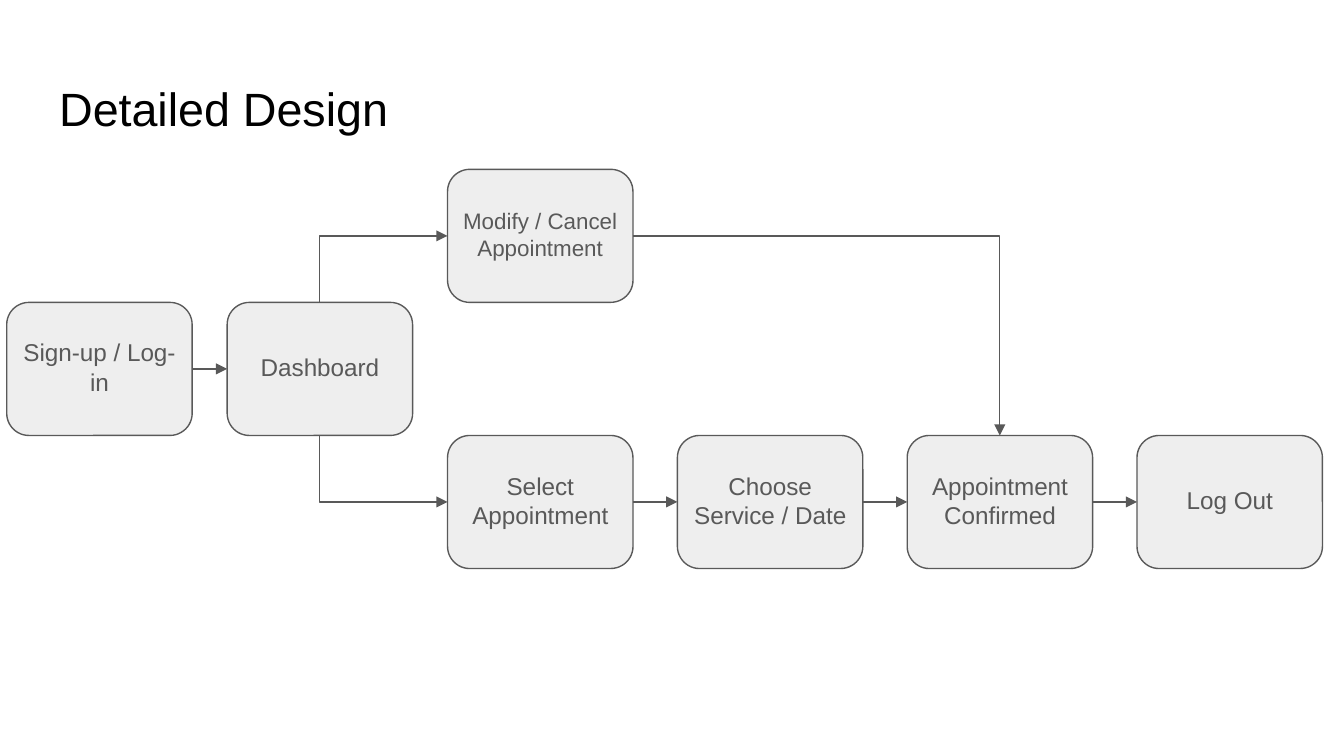
from dataclasses import dataclass

from lxml.etree import SubElement
from pptx import Presentation
from pptx.dml.color import RGBColor
from pptx.enum.shapes import MSO_CONNECTOR, MSO_SHAPE
from pptx.enum.text import MSO_ANCHOR, PP_ALIGN
from pptx.oxml.ns import qn
from pptx.util import Inches, Pt


@dataclass(frozen=True)
class Theme:
    font: str = "Arial"
    title: RGBColor = RGBColor(0, 0, 0)
    ink: RGBColor = RGBColor(0x59, 0x59, 0x59)
    fill: RGBColor = RGBColor(0xEE, 0xEE, 0xEE)
    title_size: float = 25
    label_size: float = 13
    small_size: float = 12
    line_width: float = 0.75


THEME = Theme()
TOP, LEFT, BOTTOM, RIGHT = range(4)
BOX_W, BOX_H = 1.38, 0.99
GRID_LEFT, GRID_TOP = 0.05, 1.26
ENTRY_PITCH, BOOKING_PITCH = 1.64, 1.71

STEPS = {
    "login": (0, 1, "Sign-up / Log-in", THEME.label_size),
    "dashboard": (1, 1, "Dashboard", THEME.label_size),
    "modify": (2, 0, "Modify / Cancel\nAppointment", THEME.small_size),
    "select": (2, 2, "Select Appointment", THEME.label_size),
    "choose": (3, 2, "Choose Service / Date", THEME.label_size),
    "confirmed": (4, 2, "Appointment Confirmed", THEME.label_size),
    "logout": (5, 2, "Log Out", THEME.label_size),
}

STRAIGHT_FLOWS = [
    ("login", "dashboard"),
    ("select", "choose"),
    ("choose", "confirmed"),
    ("confirmed", "logout"),
]

BENT_FLOWS = [
    ("modify", LEFT, "dashboard", TOP, "headEnd"),
    ("select", LEFT, "dashboard", BOTTOM, "headEnd"),
    ("modify", RIGHT, "confirmed", TOP, "tailEnd"),
]


def cell(col, row):
    x = GRID_LEFT + min(col, 2) * ENTRY_PITCH + max(col - 2, 0) * BOOKING_PITCH
    return Inches(x), Inches(GRID_TOP + row * BOX_H)


def style_paragraph(p, size, color, align):
    p.alignment = align
    p.font.name = THEME.font
    p.font.size = Pt(size)
    p.font.color.rgb = color


def set_title(s, text):
    sp = s.shapes.title
    sp.left, sp.top = Inches(0.34), Inches(0.49)
    sp.width, sp.height = Inches(9.32), Inches(0.63)
    tf = sp.text_frame
    tf.text = text
    tf.vertical_anchor = MSO_ANCHOR.MIDDLE
    tf.margin_left = tf.margin_right = Inches(0.1)
    tf.margin_top = tf.margin_bottom = Inches(0.1)
    style_paragraph(tf.paragraphs[0], THEME.title_size, THEME.title, PP_ALIGN.LEFT)


def add_step(s, col, row, text, size):
    sp = s.shapes.add_shape(MSO_SHAPE.ROUNDED_RECTANGLE, *cell(col, row),
                            Inches(BOX_W), Inches(BOX_H))
    sp.shadow.inherit = False
    sp.fill.solid()
    sp.fill.fore_color.rgb = THEME.fill
    sp.line.color.rgb = THEME.ink
    sp.line.width = Pt(THEME.line_width)
    tf = sp.text_frame
    tf.word_wrap = True
    tf.vertical_anchor = MSO_ANCHOR.MIDDLE
    tf.margin_left = tf.margin_right = tf.margin_top = Inches(0.05)
    tf.margin_bottom = Inches(0.08)
    tf.text = text
    for p in tf.paragraphs:
        style_paragraph(p, size, THEME.ink, PP_ALIGN.CENTER)
    return sp


def add_flow(s, start, start_side, end, end_side, arrow="tailEnd", bent=False):
    kind = MSO_CONNECTOR.ELBOW if bent else MSO_CONNECTOR.STRAIGHT
    cxn = s.shapes.add_connector(kind, 0, 0, 0, 0)
    cxn.begin_connect(start, start_side)
    cxn.end_connect(end, end_side)
    cxn.line.color.rgb = THEME.ink
    cxn.line.width = Pt(THEME.line_width)
    sp_pr = cxn._element.spPr
    if bent:
        sp_pr.find(qn("a:prstGeom")).set("prst", "bentConnector2")
    SubElement(sp_pr.find(qn("a:ln")), qn(f"a:{arrow}"), type="triangle")
    SubElement(sp_pr, qn("a:effectLst"))


def main():
    prs = Presentation()
    prs.slide_width = Inches(10)
    prs.slide_height = prs.slide_width * 9 // 16
    s = prs.slides.add_slide(prs.slide_layouts[5])
    set_title(s, "Detailed Design")
    steps = {name: add_step(s, *step) for name, step in STEPS.items()}
    for start, end in STRAIGHT_FLOWS:
        add_flow(s, steps[start], RIGHT, steps[end], LEFT)
    for start, start_side, end, end_side, arrow in BENT_FLOWS:
        add_flow(s, steps[start], start_side, steps[end], end_side, arrow, bent=True)
    prs.save("out.pptx")


if __name__ == "__main__":
    main()
